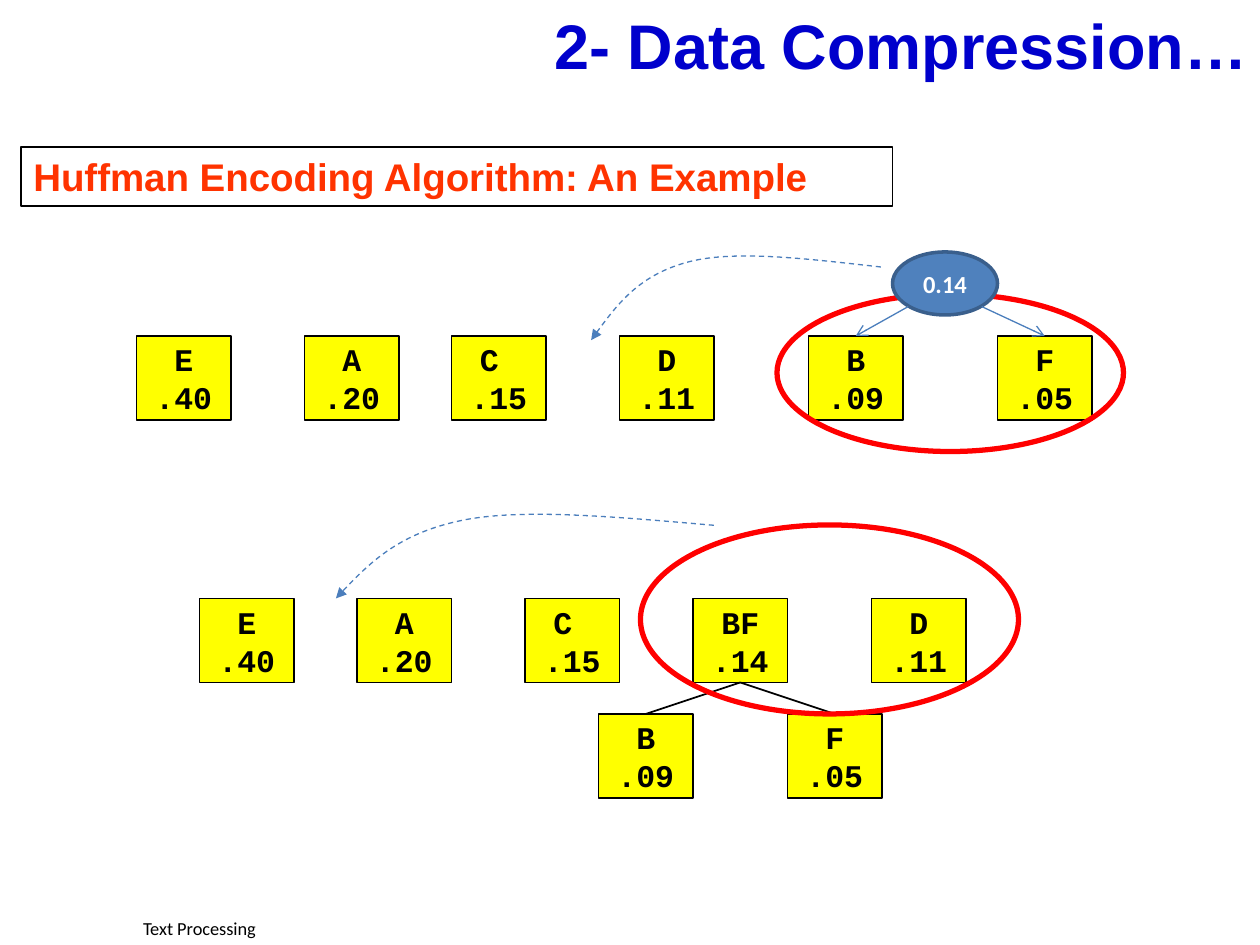
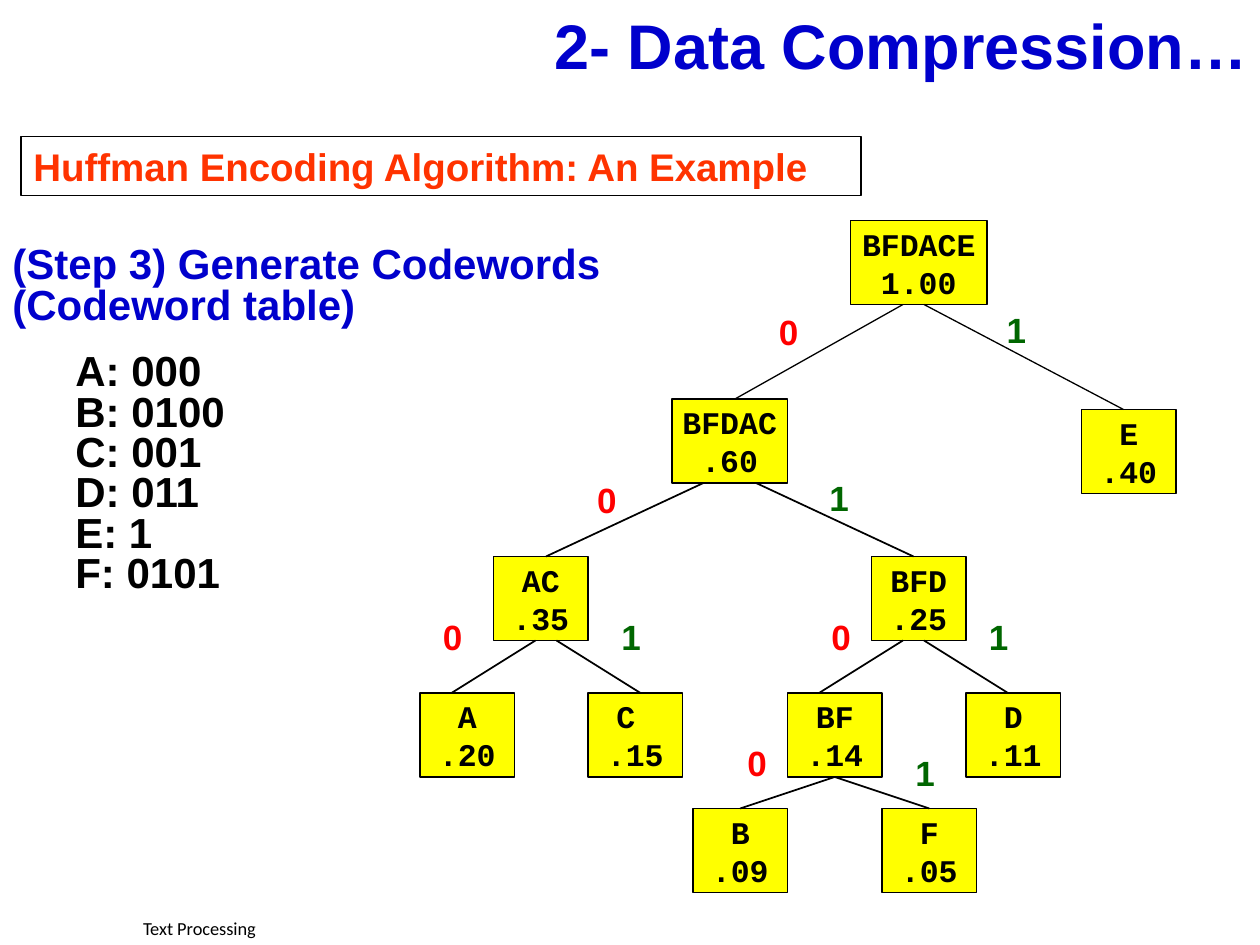
from dataclasses import dataclass

from pptx import Presentation
from pptx.dml.color import RGBColor
from pptx.enum.dml import MSO_LINE
from pptx.enum.shapes import MSO_CONNECTOR, MSO_SHAPE
from pptx.enum.text import MSO_ANCHOR, MSO_AUTO_SIZE, PP_ALIGN
from pptx.oxml.ns import qn
from pptx.oxml.xmlchemy import OxmlElement
from pptx.util import Cm, Pt


@dataclass(frozen=True)
class Theme:
    """Colours, fonts and type sizes of the deck."""
    black: str = "000000"
    white: str = "FFFFFF"
    title: str = "0000CC"
    heading: str = "FF3300"
    node: str = "FFFF00"
    ring: str = "FF0000"
    oval: str = "4F81BD"
    oval_edge: str = "3A5F8C"
    arrow: str = "4B7EBC"
    bits: tuple = ("FF0000", "006600")
    sans: str = "Arial"
    mono: str = "Courier New"
    small: str = "Calibri"
    title_size: float = 36
    heading_size: float = 22
    body_size: float = 24
    node_size: float = 18
    bit_size: float = 20
    oval_size: float = 14
    footer_size: float = 10.5


T = Theme()
NODE_W, NODE_H = 9, 8
CURVE = [(1, .19), (.75, .1), (.5, 0), (.66, .13), (.83, .27), (.92, .64), (0, 1)]
CURVE = [(1, .19), (.75, .1), (.5, 0), (.34, .13), (.17, .27), (.08, .64), (0, 1)]


def u(n):
    """Return n grid units, twelve to the inch, as a length."""
    return Cm(n * 2.54 / 12)


def rgb(color):
    """Return a colour from its hex code."""
    return RGBColor.from_string(color)


def write(shape, lines, font=T.sans, size=18, color=T.black, bold=True, align=PP_ALIGN.LEFT,
          anchor=MSO_ANCHOR.TOP, wrap=True, grow=False, spacing=None, indent=0, before=0, more=False):
    """Write paragraphs into a shape, after those already there if more is set."""
    tf = shape.text_frame
    tf.word_wrap, tf.vertical_anchor = wrap, anchor
    tf.auto_size = MSO_AUTO_SIZE.SHAPE_TO_FIT_TEXT if grow else MSO_AUTO_SIZE.NONE
    for i, line in enumerate(lines):
        p = tf.add_paragraph() if i or more else tf.paragraphs[0]
        p.alignment, p.line_spacing = align, spacing
        if indent:
            p._p.get_or_add_pPr().set("marL", str(u(indent)))
        if before and i == 0:
            p.space_before = Pt(before)
        r = p.add_run()
        r.text = line
        r.font.name, r.font.size, r.font.bold = font, Pt(size), bold
        r.font.color.rgb = rgb(color)


def text_box(shapes, x, y, w, h, lines, **fmt):
    """Add a text box."""
    box = shapes.add_textbox(u(x), u(y), u(w), u(h))
    write(box, lines, **fmt)
    return box


def add_shape(shapes, kind, x, y, w, h, fill=None, line=T.black, width=1):
    """Add a preset shape with a plain fill and outline."""
    sp = shapes.add_shape(kind, u(x), u(y), u(w), u(h))
    sp.shadow.inherit = False
    if fill:
        sp.fill.solid()
        sp.fill.fore_color.rgb = rgb(fill)
    else:
        sp.fill.background()
    sp.line.color.rgb, sp.line.width = rgb(line), Pt(width)
    return sp


def add_head(shape, kind):
    """Put an arrowhead at the end of a line."""
    head = OxmlElement("a:tailEnd")
    head.set("type", kind)
    shape._element.spPr.find(qn("a:ln")).append(head)


def add_edge(shapes, x1, y1, x2, y2, color=T.black, width=1, head=None):
    """Add a straight line, with an arrowhead if one is named."""
    cxn = shapes.add_connector(MSO_CONNECTOR.STRAIGHT, u(x1), u(y1), u(x2), u(y2))
    cxn.line.color.rgb, cxn.line.width = rgb(color), Pt(width)
    if head:
        add_head(cxn, head)
    cxn._element.spPr.append(OxmlElement("a:effectLst"))


def add_curve(shapes, x, y, w, h):
    """Add a dashed curved arrow that fills a box from right to left."""
    pts = [(u(x + fx * w), u(y + fy * h)) for fx, fy in CURVE]
    builder = shapes.build_freeform(*pts[0], scale=1.0)
    builder.add_line_segments(pts[1:], close=False)
    sp = builder.convert_to_shape()
    sp.shadow.inherit = False
    sp.fill.background()
    sp.line.color.rgb, sp.line.width = rgb(T.arrow), Pt(.75)
    sp.line.dash_style = MSO_LINE.DASH
    add_head(sp, "triangle")
    outline = sp._element.spPr.find(".//" + qn("a:path"))
    segments = outline.findall(qn("a:lnTo"))
    for start in (0, 3):
        bezier = OxmlElement("a:cubicBezTo")
        for segment in segments[start:start + 3]:
            bezier.append(segment[0])
            outline.remove(segment)
        outline.append(bezier)


def add_node(shapes, x, y, name, weight, w=NODE_W):
    """Add a tree node with its letters and weight."""
    sp = add_shape(shapes, MSO_SHAPE.RECTANGLE, x, y, w, NODE_H, T.node)
    write(sp, [name, weight], font=T.mono, size=T.node_size, align=PP_ALIGN.CENTER,
          anchor=MSO_ANCHOR.MIDDLE, wrap=False)


def add_ring(shapes, x, y, w, h):
    """Add a red ring around the two smallest nodes."""
    add_shape(shapes, MSO_SHAPE.OVAL, x, y, w, h, line=T.ring, width=3)


def add_frame(s, y, w):
    """Add the title, footer and boxed heading."""
    text_box(s.shapes, 9, 0, 111, 8.5, ["2- Data Compression…"], size=T.title_size, color=T.title,
             align=PP_ALIGN.RIGHT, anchor=MSO_ANCHOR.MIDDLE, grow=True)
    text_box(s.shapes, 0, 86.8, 38, 3.2, ["Text Processing"], font=T.small, size=T.footer_size,
             bold=False, align=PP_ALIGN.CENTER, anchor=MSO_ANCHOR.MIDDLE)
    box = add_shape(s.shapes, MSO_SHAPE.RECTANGLE, 2, y, w, 5.64, width=.75)
    write(box, ["Huffman Encoding Algorithm: An Example"], size=T.heading_size, color=T.heading, grow=True)


def add_first_merge(s, x, y):
    """Draw the row where B and F are joined."""
    shapes = s.shapes.add_group_shape().shapes
    row = [(0, "E", ".40"), (16, "A", ".20"), (30, "C ", ".15"),
           (46, "D", ".11"), (64, "B", ".09"), (82, "F", ".05")]
    for dx, name, weight in row:
        add_node(shapes, x + dx, y + 9, name, weight)
    add_ring(shapes, x + 61, y + 5, 33, 15)
    oval = add_shape(shapes, MSO_SHAPE.OVAL, x + 72, y + 1, 10, 6, T.oval, T.oval_edge, 2)
    write(oval, ["0.14"], font=T.small, size=T.oval_size, color=T.white,
          align=PP_ALIGN.CENTER, anchor=MSO_ANCHOR.MIDDLE)
    for start, end in ((73.5, 68.5), (80.5, 86.5)):
        add_edge(shapes, x + start, y + 6.2, x + end, y + 9, T.arrow, .75, "arrow")
    add_curve(s.shapes, x + 43.3, y + .8, 27.6, 8.6)


def add_second_merge(s, x, y):
    """Draw the row where BF and D are joined."""
    shapes = s.shapes.add_group_shape().shapes
    row = [(0, "E", ".40"), (15, "A", ".20"), (31, "C ", ".15"), (47, "BF", ".14"), (64, "D", ".11")]
    for dx, name, weight in row:
        add_node(shapes, x + dx, y + 9, name, weight)
    for dx, name, weight in ((38, "B", ".09"), (56, "F", ".05")):
        add_node(shapes, x + dx, y + 20, name, weight)
        add_edge(shapes, x + 51.5, y + 17, x + dx + NODE_W / 2, y + 20)
    add_ring(shapes, x + 42, y + 2, 36, 18)
    add_curve(s.shapes, x + 13, y + .4, 36, 8.6)


def add_code_tree(s, x, y):
    """Draw the finished tree with a bit beside each edge."""
    shapes = s.shapes.add_group_shape().shapes
    nodes = [(41, 0, "BFDACE", "1.00", 13), (24, 17, "BFDAC", ".60", 11), (63, 18, "E", ".40"),
             (7, 32, "AC", ".35"), (43, 32, "BFD", ".25"), (0, 45, "A", ".20"), (16, 45, "C ", ".15"),
             (35, 45, "BF", ".14"), (52, 45, "D", ".11"), (26, 56, "B", ".09"), (44, 56, "F", ".05")]
    edges = [((46, 8, 30, 17), (33, 8)), ((48, 8, 67, 18), (54.7, 7.8)),
             ((27, 25, 12, 32), (15.7, 24)), ((32, 25, 47, 32), (37.8, 23.8)),
             ((11, 40, 3, 45), (1, 37)), ((13, 40, 21, 45), (18, 37)),
             ((46, 40, 38, 45), (38, 37)), ((48, 40, 56, 45), (53, 37)),
             ((39.5, 53, 30.5, 56), (30, 49)), ((39.5, 53, 48.5, 56), (46, 50))]
    for dx, dy, *label in nodes:
        add_node(shapes, x + dx, y + dy, *label)
    for i, ((x1, y1, x2, y2), (dx, dy)) in enumerate(edges):
        add_edge(shapes, x + x1, y + y1, x + x2, y + y2, width=.75 if i < 2 else 1)
        text_box(shapes, x + dx, y + dy, 4.3, 5.2, [str(i % 2)], size=T.bit_size,
                 color=T.bits[i % 2], wrap=False, grow=True)


def add_codewords(s, x, y, w, h):
    """Add the list of codewords under its heading."""
    fmt = dict(size=T.body_size, spacing=.8, grow=True)
    box = text_box(s.shapes, x, y, w, h, ["(Step 3) Generate Codewords (Codeword table)"],
                   color=T.title, **fmt)
    codes = dict(A="000", B="0100", C="001", D="011", E="1", F="0101")
    write(box, [f"{letter}: {code}" for letter, code in codes.items()],
          indent=6, before=15, more=True, **fmt)


def merge_slide(prs):
    """Build the slide with the first two merges."""
    s = prs.slides.add_slide(prs.slide_layouts[6])
    add_second_merge(s, 19, 48)
    add_first_merge(s, 13, 23)
    add_frame(s, 14, 83)


def codeword_slide(prs):
    """Build the slide with the tree and its codewords."""
    s = prs.slides.add_slide(prs.slide_layouts[6])
    add_code_tree(s, 40, 21)
    add_codewords(s, 0, 23, 65, 34.8)
    add_frame(s, 13, 80)


prs = Presentation()
prs.slide_width, prs.slide_height = Cm(25.4), Cm(19.05)
merge_slide(prs)
codeword_slide(prs)
prs.save("out.pptx")
